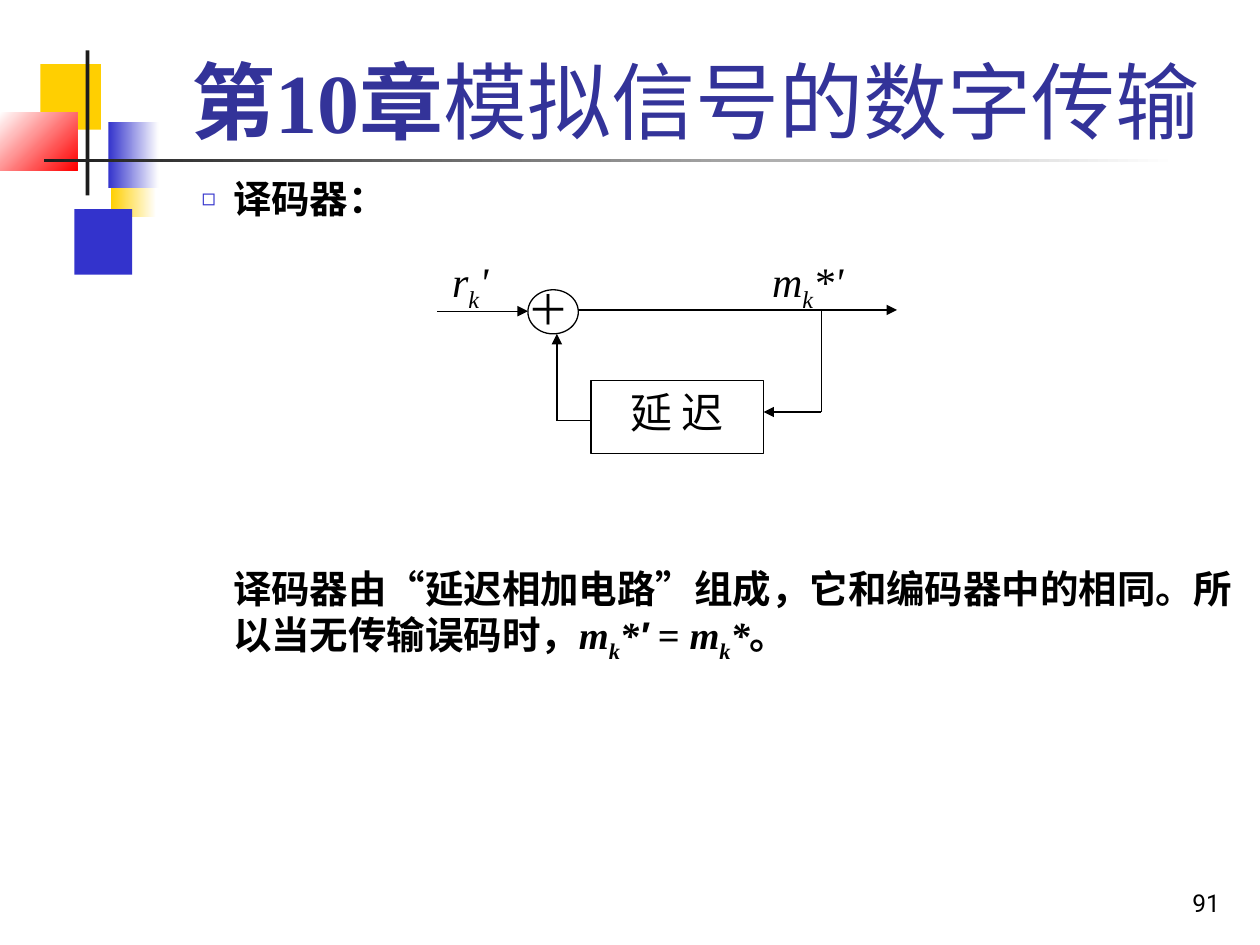
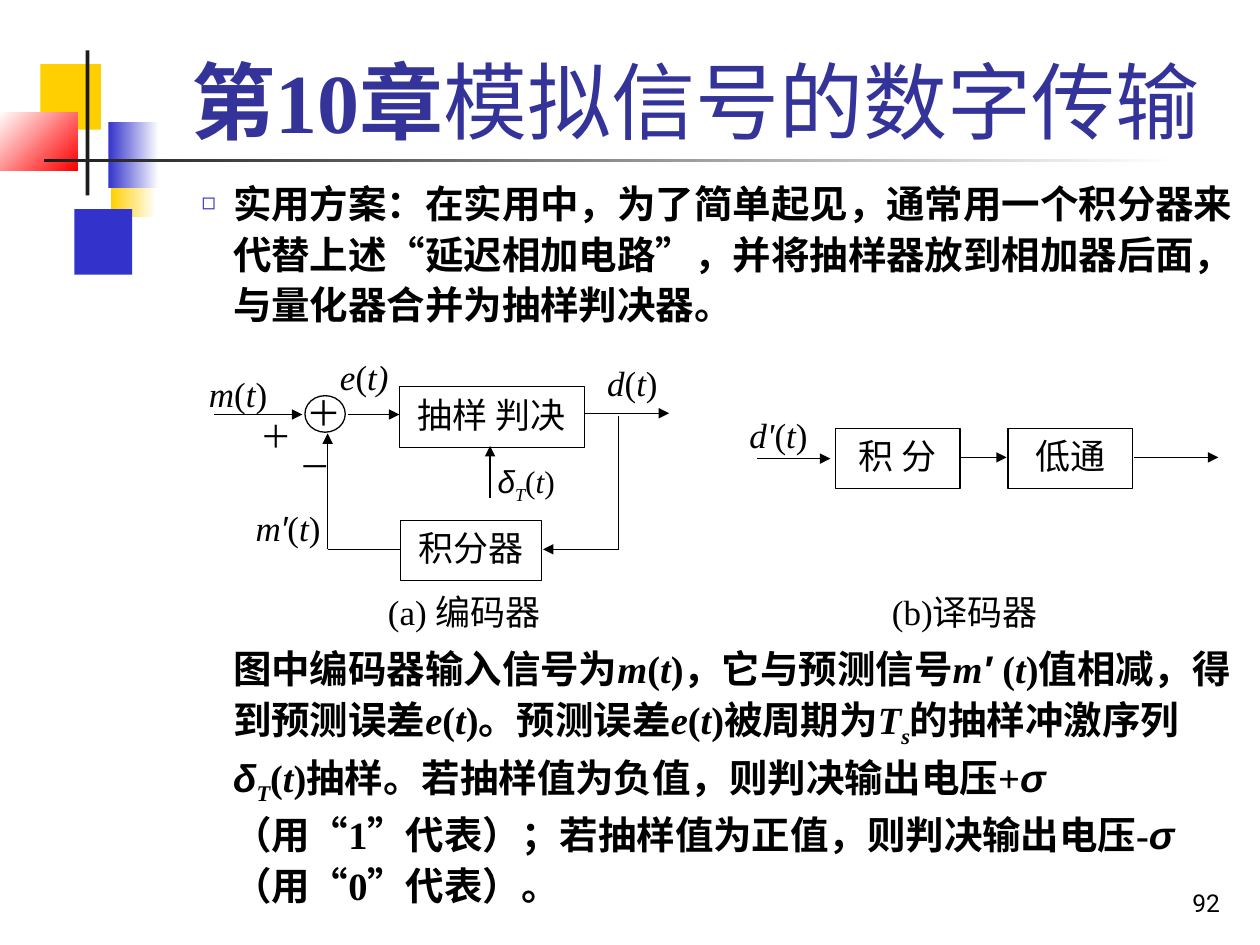
from dataclasses import dataclass

from lxml import etree
from pptx import Presentation
from pptx.dml.color import RGBColor
from pptx.enum.shapes import MSO_CONNECTOR, MSO_SHAPE
from pptx.enum.text import MSO_ANCHOR, MSO_AUTO_SIZE, PP_ALIGN
from pptx.oxml.ns import qn
from pptx.util import Inches, Pt

RECTANGLE, ELLIPSE = MSO_SHAPE.RECTANGLE, MSO_SHAPE.OVAL
STRAIGHT = MSO_CONNECTOR.STRAIGHT
LEFT, CENTER, RIGHT = PP_ALIGN.LEFT, PP_ALIGN.CENTER, PP_ALIGN.RIGHT
TOP, BOTTOM = MSO_ANCHOR.TOP, MSO_ANCHOR.BOTTOM

COLORS = {
    "white": "FFFFFF", "black": "000000", "ink": "1C1C1C", "title": "333399",
    "blue": "3333CC", "yellow": "FFCF01", "red": "FF0000",
}
SERIF, SYMBOL, NUMBER = "Times New Roman", "Arial", "Roboto"
COLUMNS, ROWS = 100, 75
CELL = Inches(0.1)
TEXT_INDENT, BULLET_HANG = 1.75, 0.25


@dataclass
class Box:
    """A region of the slide, measured in grid cells."""
    left: float
    top: float
    width: float
    height: float

    def point(self, x, y):
        """Return the slide position of a point inside the region."""
        return int((self.left + x) * CELL), int((self.top + y) * CELL)

    def place(self, x, y, width, height):
        """Return the slide position and size of a part of the region."""
        return *self.point(x, y), int(width * CELL), int(height * CELL)


PAGE = Box(0, 0, COLUMNS, ROWS)


def rgb(name):
    """Look up a palette colour."""
    return RGBColor.from_string(COLORS[name])


def write(paragraph, markup, size, color="black", font=SERIF, bold=False):
    """Write segments split by |: / is italic, _ subscript, ~ italic symbol."""
    for segment in markup.split("|"):
        mark = segment[0] if segment[0] in "/_~" else ""
        run = paragraph.add_run()
        run.text = segment[len(mark):]
        run.font.size = Pt(size)
        run.font.name = SYMBOL if mark == "~" else font
        run.font.bold = bold
        run.font.italic = bool(mark)
        run.font.color.rgb = rgb(color)
        if mark == "_":
            run._r.get_or_add_rPr().set("baseline", "-25000")


def add_label(slide, position, markup, size, align=LEFT, anchor=TOP, font=SERIF):
    """Add a wrapped text box holding one paragraph."""
    label = slide.shapes.add_textbox(*position)
    frame = label.text_frame
    frame.word_wrap = True
    frame.vertical_anchor = anchor
    frame.paragraphs[0].alignment = align
    write(frame.paragraphs[0], markup, size, font=font)
    return label


def add_outline(slide, kind, position):
    """Add a white shape with a thin black outline."""
    shape = slide.shapes.add_shape(kind, *position)
    shape.shadow.inherit = False
    shape.fill.solid()
    shape.fill.fore_color.rgb = rgb("white")
    shape.line.color.rgb = rgb("black")
    shape.line.width = Pt(0.75)
    return shape


def add_block(slide, position, text, size):
    """Add a named block of a circuit."""
    frame = add_outline(slide, RECTANGLE, position).text_frame
    frame.word_wrap = True
    frame.vertical_anchor = TOP
    frame.paragraphs[0].alignment = CENTER
    write(frame.paragraphs[0], text, size)


def add_adder(slide, area, x, y, width, height, size):
    """Add a circle with a plus sign."""
    add_outline(slide, ELLIPSE, area.place(x, y, width, height))
    offset = size / 24
    add_label(slide, area.place(x - offset, y - offset, 6, 4.6), "＋", size)


def add_wire(slide, area, *points):
    """Join points by straight lines, with an arrowhead at the last one."""
    for start, end in zip(points, points[1:]):
        line = slide.shapes.add_connector(
            STRAIGHT, *area.point(*start), *area.point(*end))
        line.line.color.rgb = rgb("black")
        line.line.width = Pt(0.75)
        properties = line._element.spPr
        etree.SubElement(properties, qn("a:effectLst"))
    etree.SubElement(properties.find(qn("a:ln")), qn("a:tailEnd"), type="triangle")


def add_decoration(slide, area):
    """Draw the coloured squares and the crossing bars beside the title."""
    tiles = [
        ((8.8, 12, 3.6, 5.2), "yellow", "white", 0),
        ((5.9, 16.6, 4.6, 5.2), "blue", None, 0),
        ((3.2, 5.1, 4.8, 5.2), "yellow", None, 0),
        ((8.6, 9.7, 4, 5.2), "blue", "white", 0),
        ((0, 8.9, 6.15, 4.6), "white", "red", 315),
        ((6.8, 4, 0.3, 11.5), "ink", None, 0),
        ((3.5, 12.6, 90, 0.3), "ink", "white", 0),
    ]
    for place, first, last, angle in tiles:
        tile = slide.shapes.add_shape(RECTANGLE, *area.place(*place))
        tile.shadow.inherit = False
        tile.line.fill.background()
        if last:
            tile.fill.gradient()
            tile.fill.gradient_angle = angle
            for stop, color in zip(tile.fill.gradient_stops, (first, last)):
                stop.color.rgb = rgb(color)
        else:
            tile.fill.solid()
            tile.fill.fore_color.rgb = rgb(first)


def move(shape, position):
    """Move and size a placeholder and fix its text size."""
    shape.left, shape.top, shape.width, shape.height = position
    shape.text_frame.auto_size = MSO_AUTO_SIZE.NONE
    shape.text_frame.word_wrap = True


def add_bullet(paragraph, bulleted):
    """Set the indent and the square bullet of a body paragraph."""
    properties = paragraph._p.get_or_add_pPr()
    properties.set("marL", str(Inches(TEXT_INDENT)))
    properties.set("indent", str(-Inches(BULLET_HANG) if bulleted else 0))
    if not bulleted:
        etree.SubElement(properties, qn("a:buNone"))
        return
    color = etree.SubElement(properties, qn("a:buClr"))
    etree.SubElement(color, qn("a:srgbClr"), val=COLORS["blue"])
    etree.SubElement(properties, qn("a:buSzPct"), val="60000")
    etree.SubElement(properties, qn("a:buChar"), char="◻")


def add_body(body, area, heading, explanation, gap, spacing):
    """Fill the body with a bullet and, below the figure, its explanation."""
    move(body, area.place(0, 0, area.width, area.height))
    frame = body.text_frame
    paragraphs = [frame.paragraphs[0], frame.add_paragraph()]
    for paragraph, markup, before in zip(
            paragraphs, (heading, explanation), (0, gap)):
        paragraph.level = 3
        add_bullet(paragraph, paragraph is paragraphs[0])
        paragraph.space_before = Pt(before)
        paragraph.line_spacing = spacing
        write(paragraph, markup, 22, bold=True)


def add_page(presentation, number, heading, explanation, gap, spacing):
    """Add a slide with the chapter title, body text and page number."""
    slide = presentation.slides.add_slide(presentation.slide_layouts[1])
    add_decoration(slide, PAGE)
    title = slide.shapes.title
    move(title, PAGE.place(12.6, 2.3, 85.2, 10.1))
    title.text_frame.vertical_anchor = BOTTOM
    paragraph = title.text_frame.paragraphs[0]
    paragraph.alignment = CENTER
    write(paragraph, "第10章|模拟信号的数字传输", 48, "title", bold=True)
    paragraph.runs[1].font.bold = False
    add_body(slide.placeholders[1], Box(0, 13.4, COLUMNS, 61.6),
             heading, explanation, gap, spacing)
    add_label(slide, PAGE.place(77, 68.3, 20.8, 5), str(number), 14,
              RIGHT, BOTTOM, NUMBER)
    return slide


def add_delay_decoder(slide, area):
    """Draw the decoder with a delay in its feedback loop."""
    add_block(slide, area.place(12.2, 10.4, 13.7, 5.8), "延 迟", 24)
    add_adder(slide, area, 7.2, 3.2, 4, 3.5, 24)
    add_wire(slide, area, (0, 4.9), (7.2, 4.9))
    add_wire(slide, area, (11.2, 4.8), (area.width, 4.8))
    add_wire(slide, area, (30.5, 4.8), (30.5, 12.9), (25.9, 12.9))
    add_wire(slide, area, (12.2, 13.6), (9.5, 13.6), (9.5, 6.7))
    add_label(slide, area.place(0.2, 0, 6.5, 5.2), "/r|_k|/'", 24)
    add_label(slide, area.place(25.6, 0, 9, 5.2), "/m|_k|/*'", 24)


def add_encoder(slide, area):
    """Draw the encoder with an integrator in its feedback loop."""
    add_block(slide, area.place(16.2, 13.6, 11.2, 4.8), "积分器", 20)
    add_block(slide, area.place(16.1, 3, 14.7, 4.8), "抽样 判决", 20)
    add_adder(slide, area, 8.6, 3.7, 3.2, 2.9, 20)
    add_wire(slide, area, (1.4, 5.2), (8.4, 5.2))
    add_wire(slide, area, (12, 5.2), (16.1, 5.2))
    add_wire(slide, area, (30.8, 5.1), (37.5, 5.1))
    add_wire(slide, area, (33.5, 5.3), (33.5, 15.9), (27.5, 15.9))
    add_wire(slide, area, (16.2, 15.9), (10.4, 15.9), (10.4, 6.7))
    add_wire(slide, area, (23.3, 11.8), (23.3, 7.7))
    labels = [
        ((0, 1.4, 7.4, 4.6), "/m|(|/t|)", 20),
        ((10.4, 0, 6.3, 4.6), "/e|(|/t)", 20),
        ((31.6, 0.5, 7.4, 4.6), "/d|(|/t|)", 20),
        ((3.7, 12, 7.7, 4.6), "/m|~′|(|/t|)", 20),
        ((22.9, 8.5, 7.1, 4.3), "~δ|_T|(|/t|)", 18),
        ((4.1, 4.9, 4.2, 3.8), "＋", 18),
        ((7.2, 7.3, 4.2, 3.8), "－", 18),
    ]
    for place, markup, size in labels:
        add_label(slide, area.place(*place), markup, size)


def add_integrating_decoder(slide, area):
    """Draw the decoder chain of integrator and low-pass filter."""
    for index, name in enumerate(("积 分", "低通")):
        add_block(slide, area.place(7.8 + 13.7 * index, 1.7, 9.9, 4.8), name, 20)
    add_wire(slide, area, (1.6, 4.1), (7.4, 4.1))
    add_wire(slide, area, (17.6, 4), (21.4, 4))
    add_wire(slide, area, (31.5, 4), (area.width, 4))
    add_label(slide, area.place(0, 0, 9.7, 4.3), "/d'|(|/t|)", 20)


def add_captions(slide, area):
    """Name both circuits on one line, parted by a tab stop."""
    label = add_label(slide, area.place(0, 0, area.width, area.height),
                      "(a) 编码器\t(b)译码器", 20)
    properties = label.text_frame.paragraphs[0]._p.get_or_add_pPr()
    tabs = etree.SubElement(properties, qn("a:tabLst"))
    etree.SubElement(tabs, qn("a:tab"), pos=str(Inches(4)), algn="l")


def main():
    """Build both slides and save them."""
    presentation = Presentation()
    presentation.slide_width = COLUMNS * CELL
    presentation.slide_height = ROWS * CELL

    slide = add_page(
        presentation, 91, "译码器：",
        "译码器由“延迟相加电路”组成，它和编码器中的相同。所以当无传输误码时，"
        "|/m|_k|/*|~′| = |/m|_k|/*|。", 196.5, 1.0)
    add_delay_decoder(slide, Box(34.7, 19.8, 36.5, 16.2))

    slide = add_page(
        presentation, 92,
        "实用方案：在实用中，为了简单起见，通常用一个积分器来代替上述"
        "“延迟相加电路”，并将抽样器放到相加器后面，与量化器合并为抽样判决器。",
        "图中编码器输入信号为|/m|(|/t|)，它与预测信号|/m|~′ |(|/t|)值相减，"
        "得到预测误差|/e|(|/t|)。预测误差|/e|(|/t|)被周期为|/T|_s|的抽样冲激序列"
        "|~δ|_T|(|/t|)抽样。若抽样值为负值，则判决输出电压+|~σ|（用“1”代表）；"
        "若抽样值为正值，则判决输出电压-|~σ|（用“0”代表）。", 178.5, 1.1)
    add_encoder(slide, Box(15.6, 27.7, 39, 18.4))
    add_integrating_decoder(slide, Box(58.5, 32.3, 38.2, 6.5))
    add_captions(slide, Box(29.8, 46.4, 60.1, 4.7))

    presentation.save("out.pptx")


if __name__ == "__main__":
    main()
